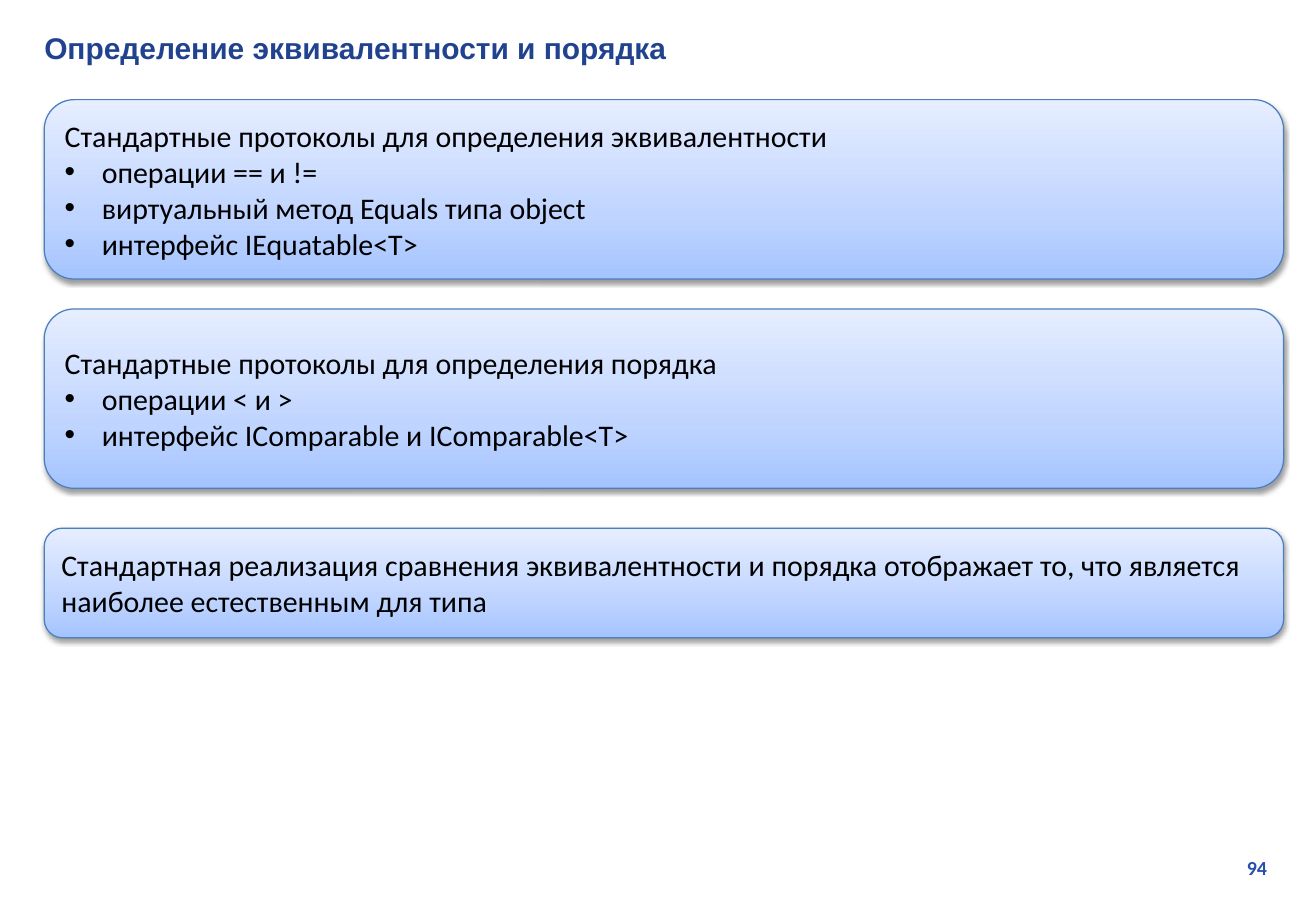
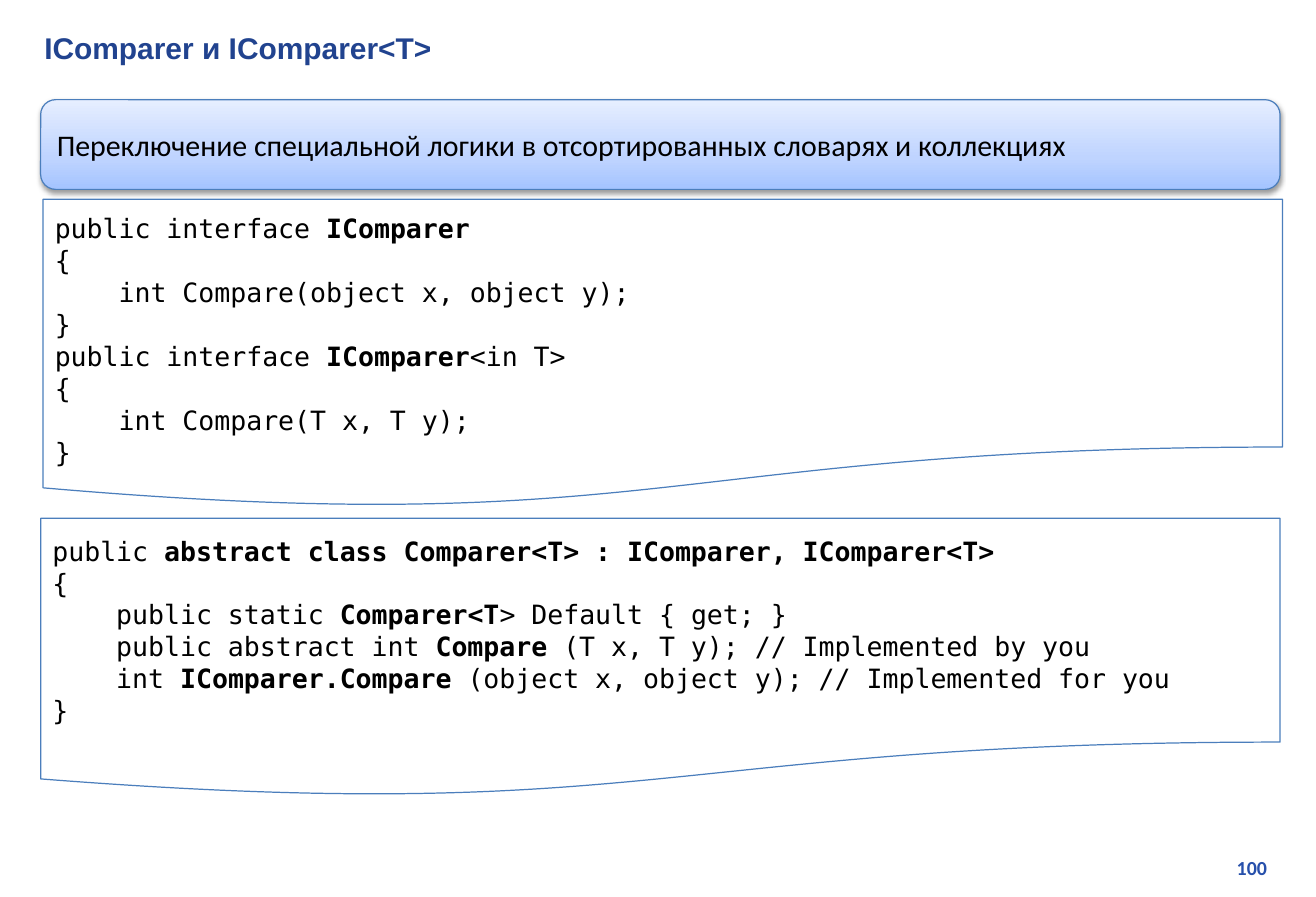
from pptx import Presentation
from pptx.dml.color import RGBColor
from pptx.enum.shapes import MSO_SHAPE
from pptx.enum.text import MSO_ANCHOR, MSO_AUTO_SIZE, PP_ALIGN
from pptx.oxml import parse_xml
from pptx.oxml.ns import nsdecls
from pptx.util import Inches, Pt

ROUND, PAPER = MSO_SHAPE.ROUNDED_RECTANGLE, MSO_SHAPE.FLOWCHART_DOCUMENT
TOP, MIDDLE = MSO_ANCHOR.TOP, MSO_ANCHOR.MIDDLE
LEFT, RIGHT, JUSTIFY = PP_ALIGN.LEFT, PP_ALIGN.RIGHT, PP_ALIGN.JUSTIFY
NO_FIT = MSO_AUTO_SIZE.NONE

# Shared look
NAVY, BLUE, EDGE, BLACK, WHITE = "21438F", "2750AB", "4B7EBC", "000000", "FFFFFF"
BLEND = [(0, "A4C4FF"), (35, "BFD4FF"), (100, "E6EEFF")]
HEAD, BODY, MONO = "Arial", "Calibri", "DejaVu Sans Mono"
ROW = 1 / 12      # grid row in inches
WIDE = 10.36      # width of every panel
INDENT = 0.31

# Content: panels are (kind, left, first row, rows, lines);
# "•" starts a bullet, "*" switches bold in code
SLIDES = [
    ("Определение эквивалентности и порядка", 94, [
        ("card", 0.37, 10, 18, [
            "Стандартные протоколы для определения эквивалентности",
            "•операции == и !=",
            "•виртуальный метод Equals типа object",
            "•интерфейс IEquatable<T>"]),
        ("card", 0.37, 31, 18, [
            "Стандартные протоколы для определения порядка",
            "•операции < и >",
            "•интерфейс IComparable и IComparable<T>"]),
        ("card", 0.37, 53, 11, [
            "Стандартная реализация сравнения эквивалентности и порядка "
            "отображает то, что является наиболее естественным для типа"]),
    ]),
    ("IComparer и IComparer<T>", 100, [
        ("code top", 0.36, 20, 31, [
            "public interface *IComparer*",
            "{",
            "    int Compare(object x, object y);",
            "}",
            "public interface *IComparer*<in T>",
            "{",
            "    int Compare(T x, T y);",
            "}"]),
        ("banner", 0.34, 10, 9, [
            "Переключение специальной логики в отсортированных словарях "
            "и коллекциях"]),
        ("code", 0.34, 52, 28, [
            "public *abstract class Comparer<T> : IComparer, IComparer<T>*",
            "{",
            "    public static *Comparer<T*> Default { get; }",
            "    public abstract int *Compare* (T x, T y); // Implemented by you",
            "    int *IComparer.Compare* (object x, object y); // Implemented for you",
            "}"]),
    ]),
]


def color(code):
    return RGBColor.from_string(code)


def style(run, size, face, code, bold=False):
    font = run.font
    font.size, font.name, font.bold = Pt(size), face, bold
    font.color.rgb = color(code)


def place(shape, *box):
    shape.left, shape.top, shape.width, shape.height = map(Inches, box)


def panel(slide, form, left, row, rows):
    shape = slide.shapes.add_shape(
        form, *map(Inches, (left, row * ROW, WIDE, rows * ROW)))
    shape.shadow.inherit = False
    shape.line.color.rgb = color(EDGE)
    shape.line.width = Pt(0.75)
    frame = shape.text_frame
    frame.word_wrap, frame.vertical_anchor = True, MIDDLE
    return shape


def glaze(shape):
    """Upward colour blend and a soft shadow below."""
    shape.fill.background()
    props = shape._element.spPr
    stops = "".join(f'<a:gs pos="{at * 1000}"><a:srgbClr val="{code}"/></a:gs>'
                    for at, code in BLEND)
    blend = parse_xml(f'<a:gradFill {nsdecls("a")} rotWithShape="1">'
                      f'<a:gsLst>{stops}</a:gsLst>'
                      '<a:lin ang="16200000" scaled="0"/></a:gradFill>')
    props.replace(props.find("{*}noFill"), blend)
    shade = parse_xml(f'<a:outerShdw {nsdecls("a")} blurRad="40000" dist="20000" '
                      'dir="5400000" rotWithShape="0"><a:srgbClr val="000000">'
                      '<a:alpha val="38000"/></a:srgbClr></a:outerShdw>')
    props.find("{*}effectLst").append(shade)


def bullet(para):
    props = para._p.get_or_add_pPr()
    props.set("marL", str(Inches(INDENT)))
    props.set("indent", str(-Inches(INDENT)))
    props.append(parse_xml(f'<a:buFont {nsdecls("a")} typeface="Arial"/>'))
    props.append(parse_xml(f'<a:buChar {nsdecls("a")} char="•"/>'))


def paras(frame, lines):
    for i, line in enumerate(lines):
        para = frame.add_paragraph() if i else frame.paragraphs[0]
        para.alignment = LEFT
        yield para, line


def card(slide, left, row, rows, lines):
    shape = panel(slide, ROUND, left, row, rows)
    glaze(shape)
    for para, line in paras(shape.text_frame, lines):
        para.text = line.lstrip("•")
        if line.startswith("•"):
            bullet(para)
        style(para.runs[0], 18, BODY, BLACK)
    return shape


def banner(slide, *spot):
    para = card(slide, *spot).text_frame.paragraphs[0]
    para.alignment, para.space_after = JUSTIFY, Pt(10)


def code(slide, left, row, rows, lines):
    shape = panel(slide, PAPER, left, row, rows)
    shape.fill.solid()
    shape.fill.fore_color.rgb = color(WHITE)
    for para, line in paras(shape.text_frame, lines):
        for i, part in enumerate(line.split("*")):
            if part:
                run = para.add_run()
                run.text = part
                style(run, 16, MONO, BLACK, i % 2 == 1)
    return shape


def code_top(slide, *spot):
    frame = code(slide, *spot).text_frame
    frame.vertical_anchor, frame.margin_top = TOP, Inches(0.11)


DRAW = {"card": card, "banner": banner, "code": code, "code top": code_top}


def label(shape, text, box, align, look):
    place(shape, *box)
    frame = shape.text_frame
    frame.text = text
    frame.word_wrap, frame.auto_size = True, NO_FIT
    frame.vertical_anchor = MIDDLE
    para = frame.paragraphs[0]
    para.alignment = align
    style(para.runs[0], *look, True)


def main():
    deck = Presentation()
    deck.slide_width, deck.slide_height = Inches(11), Inches(7.5)
    for title, page, panels in SLIDES:
        slide = deck.slides.add_slide(deck.slide_layouts[5])
        label(slide.shapes.title, title, (0.27, 0.2, 10.5, 0.4),
              LEFT, (18, HEAD, NAVY))
        label(slide.shapes.add_textbox(0, 0, 0, 0), str(page),
              (8.36, 7.1, 2.33, 0.3), RIGHT, (12, BODY, BLUE))
        for kind, *spot in panels:
            DRAW[kind](slide, *spot)
    deck.save("out.pptx")


if __name__ == "__main__":
    main()
